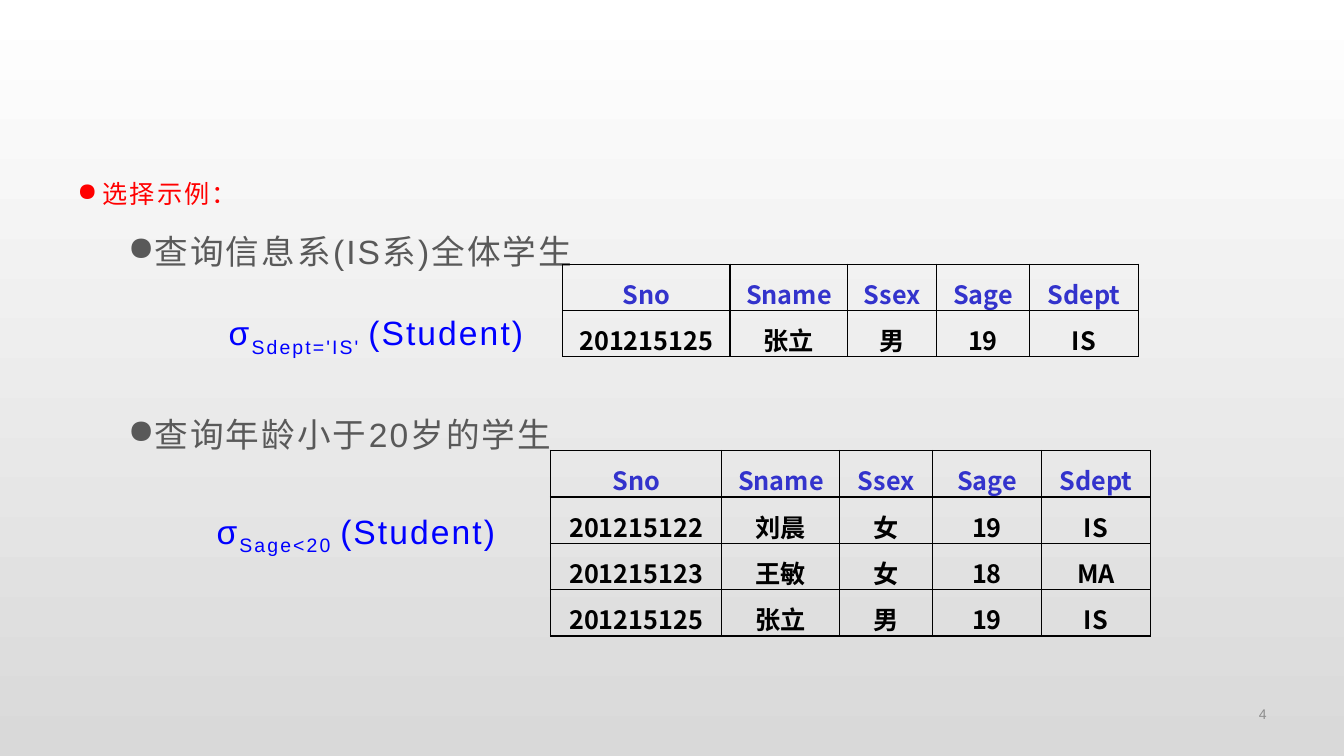
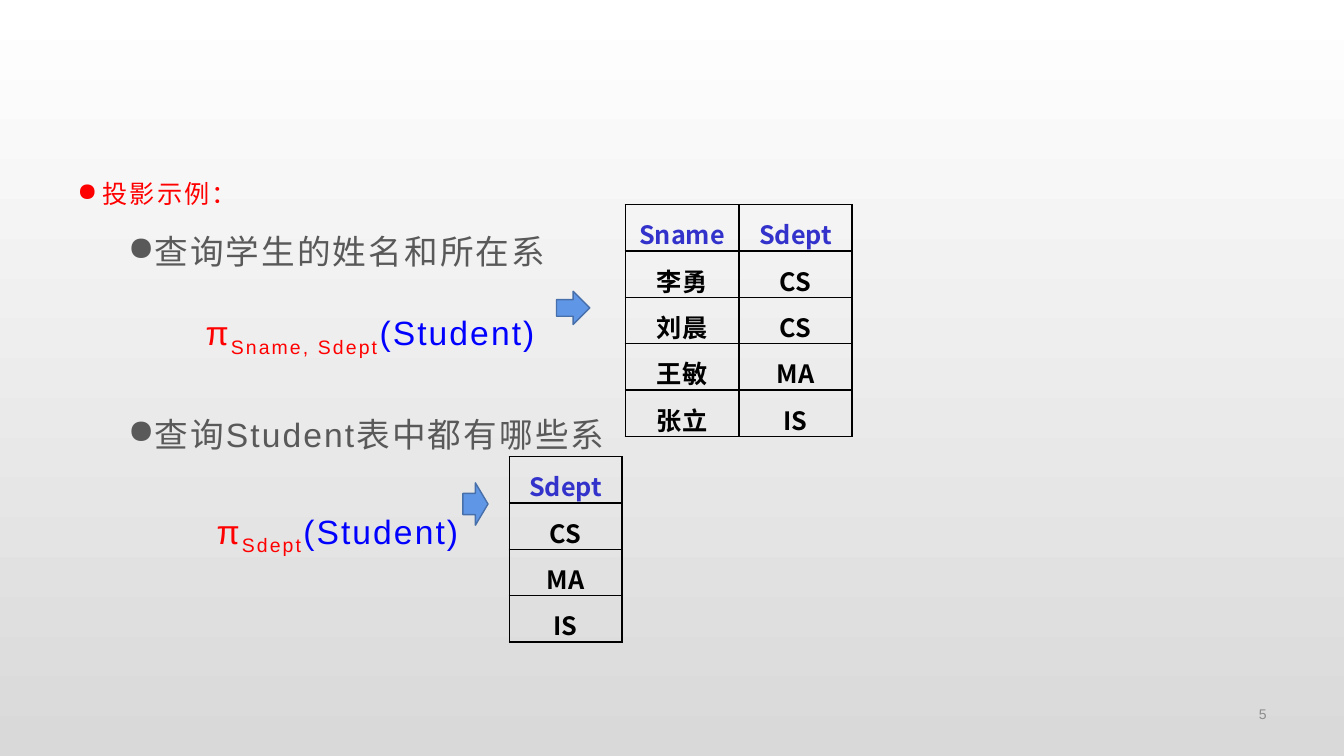
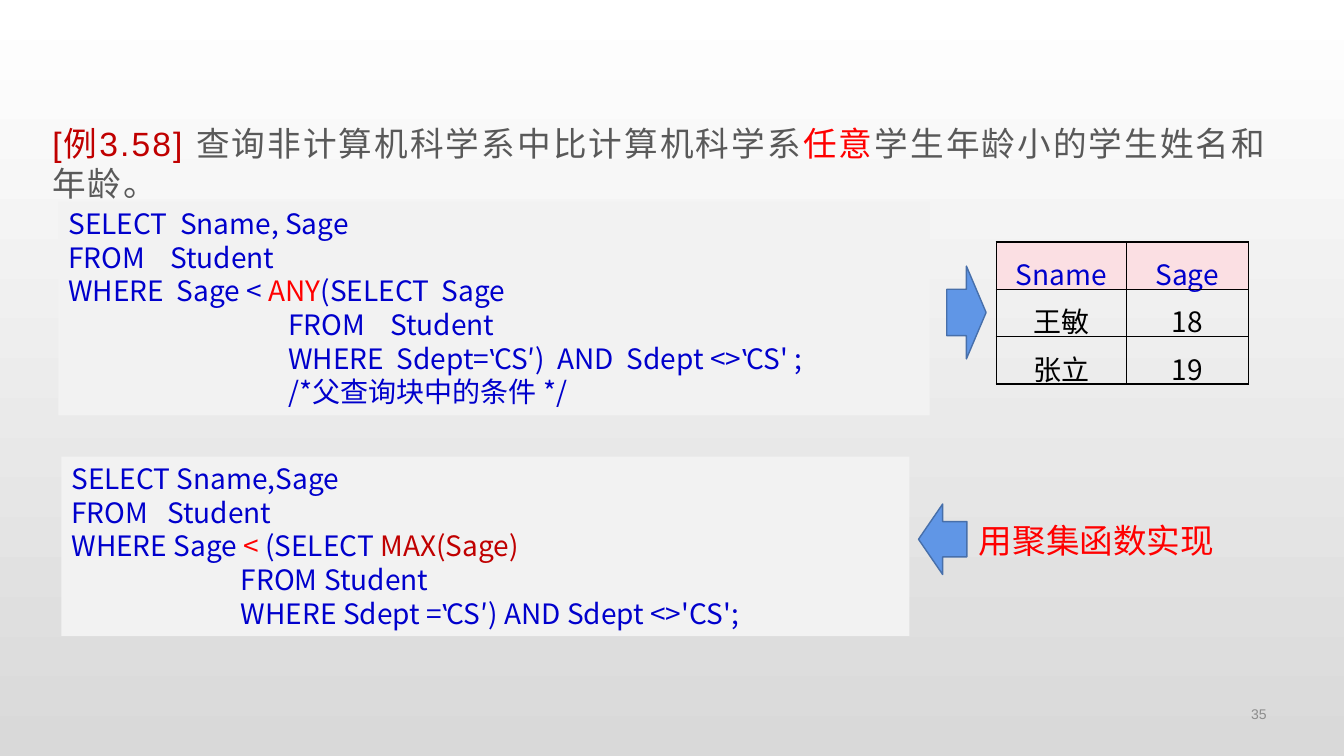
import pptx
import pptx.dml.color
import pptx.enum.shapes
import pptx.enum.text
import pptx.oxml
import pptx.oxml.ns
import pptx.util
import lxml.etree

Inches = pptx.util.Inches
Pt = pptx.util.Pt
ALIGN = pptx.enum.text.PP_ALIGN
ANCHOR = pptx.enum.text.MSO_ANCHOR
SHAPE = pptx.enum.shapes.MSO_SHAPE

LATIN, CJK = "Arial", "Noto Sans CJK SC"
RED, DARK_RED, GREY, BLUE = "FF0000", "C00000", "595959", "0000FF"
CODE_BLUE, HEADER_BLUE, BLACK = "0000CC", "3333CC", "000000"
BODY_BOX = (0.67, 1.63, 12, 5.2)
NUMBER_BOX = (9.71, 6.91, 2.95, 0.35)
TOPIC = {"line_spacing": 1.3, "space_after": Pt(10)}
ITEM = {"line_spacing": 1.2, "space_after": Pt(6)}


def rgb(value):
    return pptx.dml.color.RGBColor.from_string(value)


def apply(target, values):
    for name, value in values.items():
        setattr(target, name, value)


def add_child(parent, tag, **attributes):
    child = lxml.etree.SubElement(parent, pptx.oxml.ns.qn(tag))
    for name, value in attributes.items():
        child.set(name, value)
    return child


def add_runs(paragraph, runs, font, size, spacing=0, bold=False):
    for text, color, *baseline in runs:
        run = paragraph.add_run()
        run.text = text
        apply(run.font, {"name": font, "size": Pt(size), "bold": bold})
        run.font.color.rgb = rgb(color)
        properties = run._r.get_or_add_rPr()
        add_child(properties, "a:ea", typeface=CJK)
        if spacing:
            properties.set("spc", str(int(spacing * 100)))
        if baseline:
            properties.set("baseline", str(baseline[0] * 1000))


def indent(paragraph, left, first, bullet=None):
    properties = paragraph._p.get_or_add_pPr()
    properties.set("marL", str(Inches(left)))
    properties.set("indent", str(Inches(first)))
    if bullet:
        add_child(properties, "a:buChar", char=bullet)


def add_text_frame(slide, box, anchor=ANCHOR.TOP):
    frame = slide.shapes.add_textbox(*map(Inches, box)).text_frame
    apply(frame, {"word_wrap": True, "vertical_anchor": anchor})
    return frame


def add_line(slide, box, runs, font, size, align, anchor=ANCHOR.TOP, spacing=0):
    paragraph = add_text_frame(slide, box, anchor).paragraphs[0]
    paragraph.alignment = align
    add_runs(paragraph, runs, font, size, spacing)


def add_panel(slide, kind, box, fill, outline=None):
    panel = slide.shapes.add_shape(kind, *map(Inches, box))
    panel.shadow.inherit = False
    panel.fill.solid()
    panel.fill.fore_color.rgb = rgb(fill)
    if outline:
        panel.line.color.rgb = rgb(outline)
        panel.line.width = Pt(1)
    else:
        panel.line.fill.background()
    return panel


def add_arrow(slide, box, kind=SHAPE.RIGHT_ARROW):
    add_panel(slide, kind, box, "6096E6", "476FAA")


def add_code(slide, box, lines):
    frame = add_panel(slide, SHAPE.RECTANGLE, box, "F2F2F2").text_frame
    apply(frame, {"word_wrap": True, "vertical_anchor": ANCHOR.TOP})
    for number, line in enumerate(lines):
        paragraph = frame.add_paragraph() if number else frame.paragraphs[0]
        paragraph.alignment = ALIGN.LEFT
        runs = [(line, CODE_BLUE)] if isinstance(line, str) else line
        add_runs(paragraph, runs, CJK, 20)


def add_borders(cell):
    properties = cell._tc.get_or_add_tcPr()
    for side in "LRTB":
        border = add_child(properties, "a:ln" + side, w=str(Pt(1)))
        add_child(add_child(border, "a:solidFill"), "a:srgbClr", val=BLACK)


def add_result(slide, left, top, widths, row_height, rows,
               size=18, bold=True, header_color=HEADER_BLUE, header_fill=None):
    table = slide.shapes.add_table(
        len(rows), len(widths), Inches(left), Inches(top),
        Inches(sum(widths)), Inches(row_height * len(rows))).table
    apply(table, {"first_row": False, "horz_banding": False})
    for column, width in zip(table.columns, widths):
        column.width = Inches(width)
    margins = {"margin_left": Inches(0.13), "margin_right": Inches(0.13),
               "margin_top": Inches(0.11), "margin_bottom": Inches(0.02)}
    for r, values in enumerate(rows):
        table.rows[r].height = Inches(row_height)
        for c, value in enumerate(values.split()):
            cell = table.cell(r, c)
            apply(cell, margins)
            add_borders(cell)
            if header_fill and r == 0:
                cell.fill.solid()
                cell.fill.fore_color.rgb = rgb(header_fill)
            else:
                cell.fill.background()
            paragraph = cell.text_frame.paragraphs[0]
            paragraph.alignment = ALIGN.CENTER
            color = BLACK if r else header_color
            add_runs(paragraph, [(value, color)], CJK, size, bold=bold)


def add_queries(slide, box, topic, queries):
    frame = add_text_frame(slide, box)
    heading = frame.paragraphs[0]
    indent(heading, 0.25, -0.25, "●")
    apply(heading, TOPIC)
    add_runs(heading, [(topic, RED)], LATIN, 18, 1.5)
    for question, gap_before, formula, formula_left, formula_gap in queries:
        item = frame.add_paragraph()
        indent(item, 0.75, -0.25, "●")
        apply(item, ITEM | {"space_before": Pt(gap_before)})
        add_runs(item, [(question, GREY)], LATIN, 24, 1.5)
        expression = frame.add_paragraph()
        indent(expression, formula_left, 0)
        apply(expression, ITEM | {"space_before": Pt(formula_gap)})
        add_runs(expression, formula, LATIN, 24, 1.5)


def new_slide(deck, number):
    slide = deck.slides.add_slide(deck.slide_layouts[6])
    add_line(slide, NUMBER_BOX, [(number, "8C8C8C")], LATIN, 10,
             ALIGN.RIGHT, ANCHOR.MIDDLE)
    return slide


def set_background(deck):
    fill = deck.slide_master.background.fill
    fill.gradient()
    fill.gradient_angle = 270
    for stop, position, color in zip(fill.gradient_stops, (0, 1), ("FFFFFF", "D9D9D9")):
        stop.position = position
        stop.color.rgb = rgb(color)


def selection_slide(deck):
    slide = new_slide(deck, "4")
    add_queries(slide, BODY_BOX, "选择示例：", [
        ("查询信息系(IS系)全体学生", 0,
         [("σ", BLUE), ("Sdept='IS' ", BLUE, -25), ("(Student)", BLUE)], 1.5, 17),
        ("查询年龄小于20岁的学生", 28,
         [("σ", BLUE), ("Sage<20 ", BLUE, -25), ("(Student)", BLUE)], 1.38, 28),
    ])
    header = "Sno Sname Ssex Sage Sdept"
    add_result(slide, 5.58, 2.62, [1.66, 1.17, 0.88, 0.92, 1.08], 0.46,
               [header, "201215125 张立 男 19 IS"])
    add_result(slide, 5.46, 4.47, [1.7, 1.17, 0.92, 1.08, 1.08], 0.46,
               [header, "201215122 刘晨 女 19 IS", "201215123 王敏 女 18 MA",
                "201215125 张立 男 19 IS"])


def projection_slide(deck):
    slide = new_slide(deck, "5")
    add_queries(slide, BODY_BOX, "投影示例：", [
        ("查询学生的姓名和所在系", 0,
         [("π", RED), ("Sname, Sdept", RED, -25), ("(Student)", BLUE)], 1.27, 17),
        ("查询Student表中都有哪些系", 28,
         [("π", RED), ("Sdept", RED, -25), ("(Student)", BLUE)], 1.38, 28),
    ])
    add_result(slide, 6.2, 2.03, [1.13, 1.12], 0.46,
               ["Sname Sdept", "李勇 CS", "刘晨 CS", "王敏 MA", "张立 IS"])
    add_result(slide, 5.05, 4.53, [1.12], 0.46, ["Sdept", "CS", "MA", "IS"])
    add_arrow(slide, (5.52, 2.89, 0.33, 0.33))
    add_arrow(slide, (4.59, 4.79, 0.25, 0.42))


def any_query_slide(deck):
    slide = new_slide(deck, "35")
    add_line(slide, (0.42, 1.17, 12.58, 0.9),
             [("[例3.58] ", DARK_RED), ("查询非计算机科学系中比计算机科学系", GREY),
              ("任意", RED), ("学生年龄小的学生姓名和年龄。", GREY)],
             LATIN, 24, ALIGN.LEFT, spacing=1.5)
    add_code(slide, (0.58, 2, 8.64, 2.12), [
        "SELECT  Sname, Sage",
        "FROM    Student",
        [("WHERE  Sage < ", CODE_BLUE), ("ANY", RED), ("(SELECT  Sage", CODE_BLUE)],
        "                                   FROM    Student",
        "                                   WHERE  Sdept=‛CS′)  AND  Sdept <>‛CS' ;",
        "                                   /*父查询块中的条件 */",
    ])
    add_result(slide, 9.88, 2.4, [1.29, 1.21], 0.47, ["Sname Sage", "王敏 18", "张立 19"],
               size=20, bold=False, header_color=CODE_BLUE, header_fill="FBDFE3")
    add_code(slide, (0.61, 4.53, 8.41, 1.78), [
        "SELECT Sname,Sage",
        "FROM   Student",
        [("WHERE Sage ", CODE_BLUE), ("< ", RED), ("(SELECT ", CODE_BLUE),
         ("MAX(Sage)", DARK_RED)],
        "                           FROM Student",
        "                           WHERE Sdept =‛CS′) AND Sdept <>'CS';",
    ])
    add_arrow(slide, (9.39, 2.64, 0.39, 0.92))
    add_arrow(slide, (9.11, 5, 0.48, 0.7), SHAPE.LEFT_ARROW)
    add_line(slide, (9.55, 5.11, 2.65, 0.5), [("用聚集函数实现", RED)], CJK, 24, ALIGN.CENTER)


def main():
    deck = pptx.Presentation()
    apply(deck, {"slide_width": Inches(13.33), "slide_height": Inches(7.5)})
    set_background(deck)
    selection_slide(deck)
    projection_slide(deck)
    any_query_slide(deck)
    deck.save("out.pptx")


if __name__ == "__main__":
    main()
